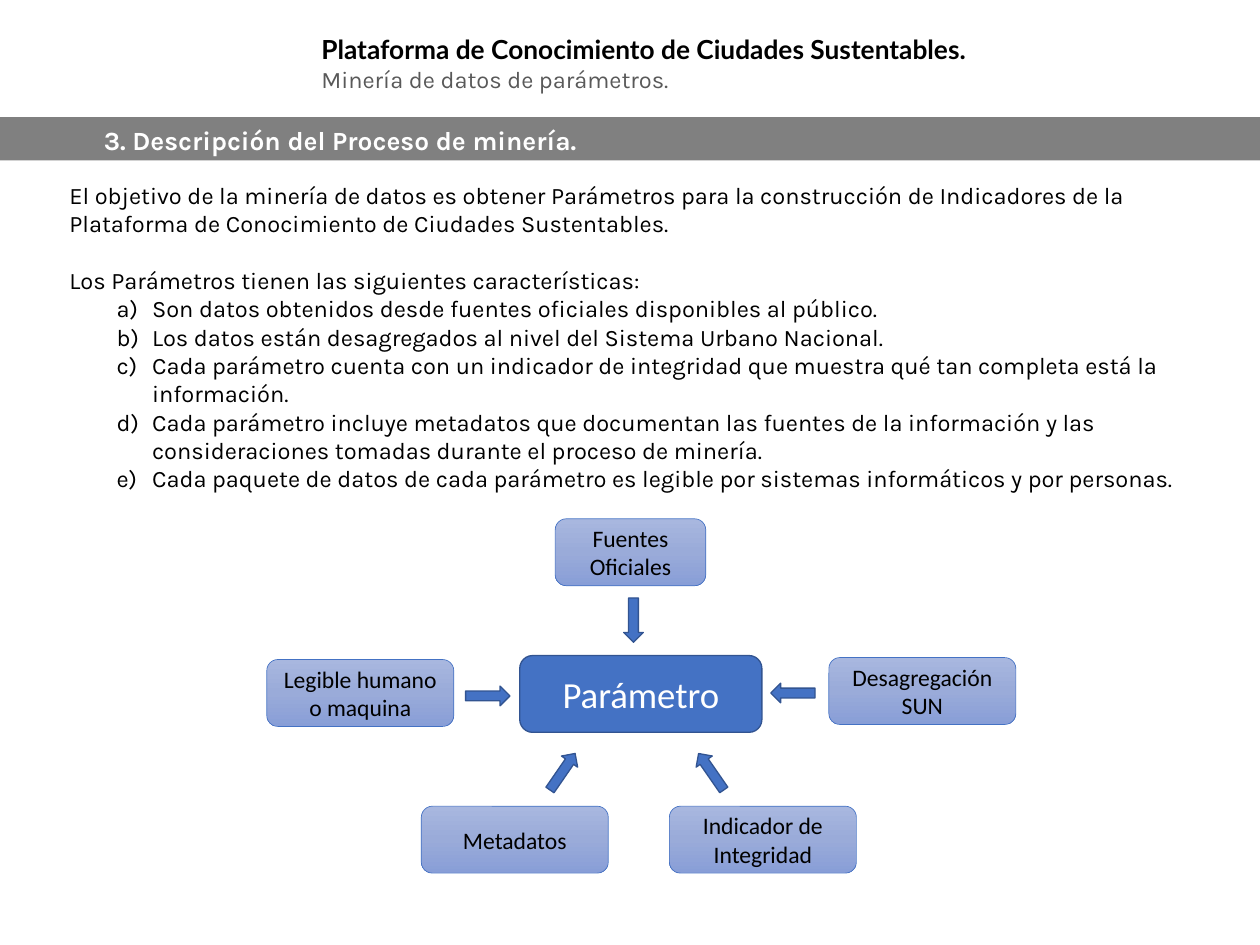
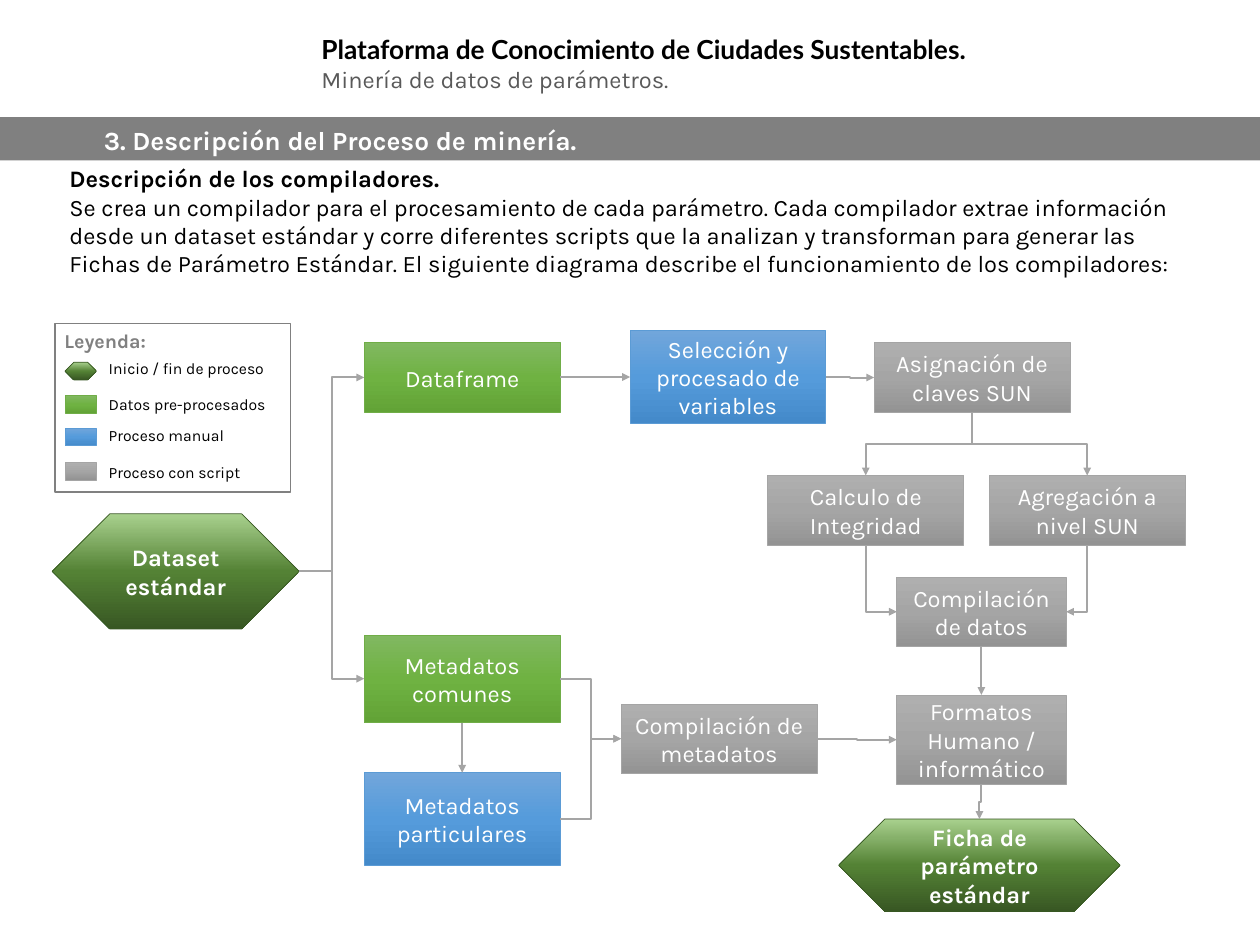
"""Build two slides that describe the data mining process and its compilers."""
from copy import deepcopy
from dataclasses import dataclass
from typing import NamedTuple

from lxml.etree import SubElement
from pptx import Presentation
from pptx.dml.color import RGBColor
from pptx.enum.shapes import MSO_CONNECTOR, MSO_SHAPE
from pptx.enum.text import MSO_ANCHOR, PP_ALIGN
from pptx.oxml.ns import qn
from pptx.util import Pt

PX = 9525


class Style(NamedTuple):
    fill: tuple
    line: str
    line_width: float
    ink: str = "FFFFFF"
    font: str = "Karla"
    bold: bool = False
    size: int = 18


@dataclass(frozen=True)
class Theme:
    black: str = "000000"
    white: str = "FFFFFF"
    gray: str = "808080"
    subtitle: str = "595959"
    link: str = "A5A5A5"
    text_font: str = "Karla"
    title_font: str = "Lato"
    title_size: int = 20
    body_size: int = 18
    legend_title_size: int = 15
    legend_size: int = 12
    paragraph_gap: float = 21.6
    center: Style = Style(("4472C4",), "325491", 1, font="Calibri", size=28)
    feature: Style = Style(("A8B7DF", "9AABD9", "889ED7"), "4472C4", 0.5, "000000", "Calibri")
    endpoint: Style = Style(("A9D18E", "548235", "385723"), "385723", 0.5, bold=True)
    data: Style = Style(("81B861", "6FB242", "62A336"), "70AD47", 0.5)
    manual: Style = Style(("71A6DB", "559BDB", "448ACA"), "5B9BD5", 0.5)
    script: Style = Style(("AFAFAF", "A5A5A5", "939393"), "A5A5A5", 0.5)
    band: Style = Style(("808080",), "", 0)
    legend: Style = Style(("FFFFFF",), "808080", 1)


THEME = Theme()


def write(frame, text, size, color, font=THEME.text_font, bold=False, align=PP_ALIGN.LEFT):
    """Add one formatted paragraph to a text frame."""
    frame.word_wrap = True
    paragraph = frame.add_paragraph() if frame.text else frame.paragraphs[0]
    paragraph.text = text
    paragraph.alignment = align
    paragraph.font.size = Pt(size)
    paragraph.font.name = font
    paragraph.font.bold = bold
    paragraph.font.color.rgb = RGBColor.from_string(color)
    return paragraph


def block(shapes, geometry, box, style, text=""):
    """Draw a filled shape with centred text, one paragraph for each line."""
    shape = shapes.add_shape(geometry, *(n * PX for n in box))
    shape.shadow.inherit = False
    if geometry == MSO_SHAPE.LEFT_RIGHT_ARROW:
        shape.adjustments[0], shape.adjustments[1] = 1, 0.5
    if len(style.fill) == 1:
        shape.fill.solid()
        shape.fill.fore_color.rgb = RGBColor.from_string(style.fill[0])
    else:
        shape.fill.gradient()
        shape.fill.gradient_angle = 270
        stop_list = shape._element.spPr.find(".//" + qn("a:gsLst"))
        stop_list.insert(1, deepcopy(stop_list[0]))
        for i, (stop, color) in enumerate(zip(shape.fill.gradient_stops, style.fill)):
            stop.position = i / 2
            stop.color.rgb = RGBColor.from_string(color)
    if style.line:
        shape.line.color.rgb = RGBColor.from_string(style.line)
        shape.line.width = Pt(style.line_width)
    else:
        shape.line.fill.background()
    for line in text.splitlines():
        write(shape.text_frame, line, style.size, style.ink, style.font, style.bold, PP_ALIGN.CENTER)
    return shape


prs = Presentation()
prs.slide_width, prs.slide_height = 1280 * PX, 960 * PX
features_slide, compilers_slide = [prs.slides.add_slide(prs.slide_layouts[6]) for _ in range(2)]

for slide in (features_slide, compilers_slide):
    header = slide.shapes.add_textbox(317 * PX, 29 * PX, 908 * PX, 71 * PX).text_frame
    write(header, "Plataforma de Conocimiento de Ciudades Sustentables.",
          THEME.title_size, THEME.black, THEME.title_font, True)
    write(header, "Minería de datos de parámetros.", THEME.body_size, THEME.subtitle)

    rule = slide.shapes.add_connector(MSO_CONNECTOR.STRAIGHT, 0, 121 * PX, 1280 * PX, 121 * PX)
    rule.line.color.rgb = RGBColor.from_string(THEME.gray)
    rule.line.width = Pt(3)
    SubElement(rule._element.spPr, qn("a:effectLst"))

    band = block(slide.shapes, MSO_SHAPE.RECTANGLE, (0, 121, 1280, 42), THEME.band)
    band.text_frame.vertical_anchor = MSO_ANCHOR.TOP
    section = write(band.text_frame, "3. Descripción del Proceso de minería.",
                    THEME.title_size, THEME.white, bold=True)
    section._p.get_or_add_pPr().set("marL", str(96 * PX))

shapes = features_slide.shapes
body = shapes.add_textbox(61 * PX, 179 * PX, 1175 * PX, 329 * PX).text_frame
write(body, "El objetivo de la minería de datos es obtener Parámetros para la construcción de "
      "Indicadores de la Plataforma de Conocimiento de Ciudades Sustentables.",
      THEME.body_size, THEME.black)
lead_in = write(body, "Los Parámetros tienen las siguientes características:",
                THEME.body_size, THEME.black)
lead_in.space_before = Pt(THEME.paragraph_gap)
for characteristic in (
    "Son datos obtenidos desde fuentes oficiales disponibles al público.",
    "Los datos están desagregados al nivel del Sistema Urbano Nacional.",
    "Cada parámetro cuenta con un indicador de integridad que muestra qué tan completa está la "
    "información.",
    "Cada parámetro incluye metadatos que documentan las fuentes de la información y las "
    "consideraciones tomadas durante el proceso de minería.",
    "Cada paquete de datos de cada parámetro es legible por sistemas informáticos y por personas.",
):
    item = write(body, characteristic, THEME.body_size, THEME.black)
    properties = item._p.get_or_add_pPr()
    properties.set("marL", str(84 * PX))
    properties.set("indent", str(-36 * PX))
    numbering = properties.makeelement(qn("a:buAutoNum"), {"type": "alphaLcParenR"})
    properties.find(qn("a:defRPr")).addprevious(numbering)

block(shapes, MSO_SHAPE.ROUNDED_RECTANGLE, (528, 666, 246, 78), THEME.center, "Parámetro")
for feature, left, top, width in (
    ("Fuentes Oficiales", 564, 527, 153),
    ("Desagregación SUN", 842, 668, 190),
    ("Indicador de Integridad", 680, 819, 190),
    ("Metadatos", 428, 819, 190),
    ("Legible humano o maquina", 271, 670, 190),
):
    block(shapes, MSO_SHAPE.ROUNDED_RECTANGLE, (left, top, width, 68), THEME.feature, feature)
for left, top, angle in (
    (473, 697, 0), (783, 694, 180), (700, 774, 235.3), (549, 774, 304.6), (621, 620, 90),
):
    arrow = block(shapes, MSO_SHAPE.RIGHT_ARROW, (left, top, 45, 20), THEME.center)
    arrow.rotation = angle

shapes = compilers_slide.shapes
intro = shapes.add_textbox(61 * PX, 162 * PX, 1175 * PX, 126 * PX).text_frame
write(intro, "Descripción de los compiladores.", THEME.body_size, THEME.black, bold=True)
write(intro, "Se crea un compilador para el procesamiento de cada parámetro. Cada compilador extrae "
      "información desde un dataset estándar y corre diferentes scripts que la analizan y "
      "transforman para generar las Fichas de Parámetro Estándar. El siguiente diagrama describe "
      "el funcionamiento de los compiladores:", THEME.body_size, THEME.black)

steps = {}
for key, text, style, box in (
    ("dataset", "Dataset estándar", THEME.endpoint, (53, 522, 251, 117)),
    ("dataframe", "Dataframe", THEME.data, (370, 348, 199, 71)),
    ("common", "Metadatos comunes", THEME.data, (370, 645, 199, 89)),
    ("selection", "Selección y procesado de variables", THEME.manual, (640, 336, 199, 94)),
    ("keys", "Asignación de claves SUN", THEME.script, (888, 348, 199, 71)),
    ("integrity", "Calculo de Integridad", THEME.script, (780, 483, 199, 71)),
    ("aggregation", "Agregación a nivel SUN", THEME.script, (1005, 483, 199, 71)),
    ("particular", "Metadatos particulares", THEME.manual, (370, 785, 199, 94)),
    ("metadata", "Compilación de metadatos", THEME.script, (631, 715, 199, 71)),
    ("compiled", "Compilación de datos", THEME.script, (911, 586, 172, 71)),
    ("formats", "Formatos\nHumano / informático", THEME.script, (911, 706, 172, 91)),
    ("record", "Ficha de parámetro estándar", THEME.endpoint, (852, 832, 286, 94)),
):
    outline = MSO_SHAPE.LEFT_RIGHT_ARROW if style is THEME.endpoint else MSO_SHAPE.RECTANGLE
    steps[key] = block(shapes, outline, box, style, text)

sides = {"top": (0.5, 0), "left": (0, 0.5), "bottom": (0.5, 1), "right": (1, 0.5)}
for source, exit_side, target, entry_side in (
    ("dataset", "right", "dataframe", "left"),
    ("dataset", "right", "common", "left"),
    ("dataframe", "right", "selection", "left"),
    ("selection", "right", "keys", "left"),
    ("keys", "bottom", "integrity", "top"),
    ("keys", "bottom", "aggregation", "top"),
    ("common", "bottom", "particular", "top"),
    ("common", "right", "metadata", "left"),
    ("particular", "right", "metadata", "left"),
    ("integrity", "bottom", "compiled", "left"),
    ("aggregation", "bottom", "compiled", "right"),
    ("compiled", "bottom", "formats", "top"),
    ("metadata", "right", "formats", "left"),
    ("formats", "bottom", "record", "top"),
):
    (x1, y1), (x2, y2) = [
        (int(step.left + step.width * sides[side][0]), int(step.top + step.height * sides[side][1]))
        for step, side in ((steps[source], exit_side), (steps[target], entry_side))
    ]
    goes_down, goes_right = exit_side == "bottom", x2 > x1
    if goes_down:
        run, rise = y2 - y1, abs(x2 - x1)
        left, top = (x1 + x2 - run) // 2, (y1 + y2 - rise) // 2
        ends = left, top, left + run, top + rise
    else:
        ends = x1, y1, x2, y2
    link = shapes.add_connector(MSO_CONNECTOR.ELBOW, *ends)
    link.line.color.rgb = RGBColor.from_string(THEME.link)
    link.line.width = Pt(1.5)
    SubElement(link.line._get_or_add_ln(), qn("a:tailEnd"), type="triangle")
    link_properties = link._element.spPr
    SubElement(link_properties, qn("a:effectLst"))
    if goes_down:
        frame = link_properties.find(qn("a:xfrm"))
        frame.set("rot", str((270 if goes_right else 90) * 60000))
        frame.set("flipH", str(int(goes_right)))
        if entry_side != "top":
            link_properties.find(qn("a:prstGeom")).set("prst", "bentConnector2")

legend = shapes.add_group_shape().shapes
panel = block(legend, MSO_SHAPE.RECTANGLE, (56, 329, 239, 171), THEME.legend)
panel.text_frame.vertical_anchor = MSO_ANCHOR.TOP
write(panel.text_frame, "Leyenda:", THEME.legend_title_size, THEME.gray, bold=True)
for meaning, style, swatch_top, label_top in (
    ("Inicio / fin de proceso", THEME.endpoint, 368, 360),
    ("Datos pre-procesados", THEME.data, 402, 396),
    ("Proceso manual", THEME.manual, 435, 428),
    ("Proceso con script", THEME.script, 470, 465),
):
    outline = MSO_SHAPE.LEFT_RIGHT_ARROW if style is THEME.endpoint else MSO_SHAPE.RECTANGLE
    block(legend, outline, (66, swatch_top, 32, 18), style)
    label = legend.add_textbox(101 * PX, label_top * PX, 185 * PX, 29 * PX).text_frame
    write(label, meaning, THEME.legend_size, THEME.black)

prs.save("out.pptx")
